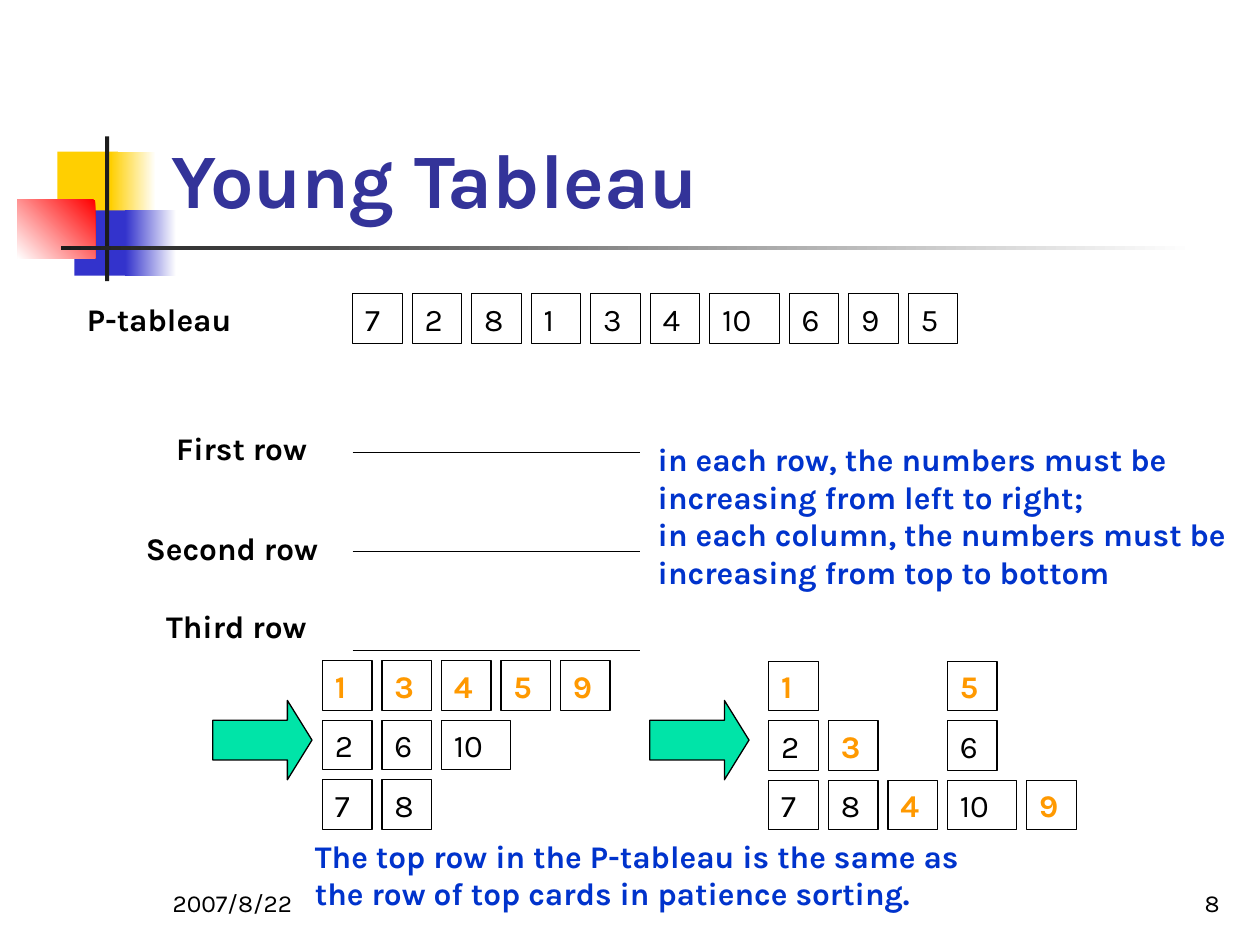
from pptx import Presentation
from pptx.dml.color import RGBColor
from pptx.enum.shapes import MSO_CONNECTOR as Link, MSO_SHAPE as Kind
from pptx.enum.text import MSO_ANCHOR as Anchor, PP_ALIGN as Align
from pptx.oxml.ns import qn
from pptx.util import Cm, Pt

FONT = "Karla"
BLACK = RGBColor(0x00, 0x00, 0x00)
WHITE = RGBColor(0xFF, 0xFF, 0xFF)
INK = RGBColor(0x1C, 0x1C, 0x1C)
GOLD = RGBColor(0xFF, 0xCF, 0x01)
BLUE = RGBColor(0x33, 0x33, 0xCC)
RED = RGBColor(0xFF, 0x00, 0x00)
NAVY = RGBColor(0x33, 0x33, 0x99)
ROYAL = RGBColor(0x00, 0x33, 0xCC)
AMBER = RGBColor(0xFF, 0x99, 0x00)
MINT = RGBColor(0x00, 0xE4, 0xA8)

CARD = 1.0
GAP = 0.2
EXTRA = 0.4
TOPS = {1, 3, 4, 5, 9}


def write(shape, lines, size=18, color=BLACK, bold=False,
          align=Align.LEFT, anchor=Anchor.TOP):
    frame = shape.text_frame
    frame.word_wrap = True
    frame.vertical_anchor = anchor
    frame.text = "\n".join(lines)
    for para in frame.paragraphs:
        para.alignment = align
        font = para.font
        font.name = FONT
        font.size = Pt(size)
        font.bold = bold
        font.color.rgb = color


def label(slide, box, *lines, **style):
    write(slide.shapes.add_textbox(*map(Cm, box)), lines, **style)


def block(slide, kind, box, fill=None, fade=None, angle=180, line=None):
    shape = slide.shapes.add_shape(kind, *map(Cm, box))
    shape.shadow.inherit = False
    if fade:
        shape.fill.gradient()
        shape.fill.gradient_angle = angle
        for stop, color in zip(shape.fill.gradient_stops, fade):
            stop.color.rgb = color
    elif fill is not None:
        shape.fill.solid()
        shape.fill.fore_color.rgb = fill
    else:
        shape.fill.background()
    if line is None:
        shape.line.fill.background()
    else:
        shape.line.color.rgb = line
        shape.line.width = Pt(0.75)
    return shape


def motif(slide, x, y):
    parts = [
        ((0.81, 0.31, 1.22, 1.32), {"fill": GOLD}),
        ((1.88, 0.31, 0.91, 1.32), {"fade": (WHITE, GOLD)}),
        ((1.15, 1.49, 1.17, 1.32), {"fill": BLUE}),
        ((2.18, 1.49, 1.02, 1.32), {"fade": (WHITE, BLUE)}),
        ((0, 1.28, 1.57, 1.18), {"fade": (RED, WHITE), "angle": 225}),
        ((1.77, 0, 0.08, 2.92), {"fill": INK}),
        ((0.88, 2.2, 22.86, 0.09), {"fade": (WHITE, INK)}),
    ]
    for (dx, dy, w, h), style in parts:
        block(slide, Kind.RECTANGLE, (x + dx, y + dy, w, h), **style)


def cards(slide, x, y, rows, tops=()):
    for i, row in enumerate(rows):
        left = x
        for num in row:
            width = CARD + (EXTRA if num == 10 else 0)
            if num:
                box = (left, y + i * (CARD + GAP), width, CARD)
                card = block(slide, Kind.RECTANGLE, box, line=BLACK)
                top = num in tops
                write(card, [str(num)], color=AMBER if top else BLACK, bold=top)
            left += width + GAP


def blanks(slide, x, y):
    names = [("First row", 3.3, 8.53, 3.4), ("Second row", 2.69, 10.54, 4.4),
             ("Third row", 3.1, 12.12, 3.8)]
    for i, (name, left, top, width) in enumerate(names):
        label(slide, (left, top, width, 1.02), name, bold=True)
        level = Cm(y + 2 * i)
        rule = slide.shapes.add_connector(
            Link.STRAIGHT, Cm(x), level, Cm(x + 5.8), level)
        rule.line.color.rgb = BLACK
        rule.line.width = Pt(0.75)
        props = rule.element.spPr
        props.append(props.makeelement(qn("a:effectLst"), {}))


def arrow(slide, x, y):
    shape = block(slide, Kind.RIGHT_ARROW, (x, y, 2, 1.6), fill=MINT, line=BLACK)
    shape.adjustments[0] = 0.5
    shape.adjustments[1] = 0.31


def footer(slide, y):
    label(slide, (19.56, y, 5.28, 1.27), "8", size=14,
          align=Align.RIGHT, anchor=Anchor.BOTTOM)
    label(slide, (3.23, y, 5.28, 1.27), "2007/8/22", size=14,
          anchor=Anchor.BOTTOM)


def main():
    deck = Presentation()
    deck.slide_width, deck.slide_height = Cm(25.4), Cm(19.05)
    slide = deck.slides.add_slide(deck.slide_layouts[6])

    motif(slide, 0.35, 2.75)
    label(slide, (3.2, 0.58, 21.64, 4.06), "Young Tableau", size=44,
          color=NAVY, bold=True, anchor=Anchor.BOTTOM)
    label(slide, (1.5, 5.92, 4, 1.02), "P-tableau", bold=True)
    cards(slide, 7.11, 5.92, [[7, 2, 8, 1, 3, 4, 10, 6, 9, 5]])
    blanks(slide, 7.11, 9.12)
    arrow(slide, 4.29, 14.12)
    cards(slide, 6.5, 13.32, [[1, 3, 4, 5, 9], [2, 6, 10], [7, 8]], TOPS)
    arrow(slide, 13.1, 14.12)
    cards(slide, 15.5, 13.33,
          [[1, None, None, 5], [2, 3, None, 6], [7, 8, 4, 10, 9]], TOPS)
    label(slide, (6.1, 16.74, 15.8, 1.78),
          "The top row in the P-tableau is the same as",
          "the row of top cards in patience sorting.", color=ROYAL, bold=True)
    label(slide, (13.01, 8.74, 12.39, 3.3),
          "in each row, the numbers must be increasing from left to right;",
          "in each column, the numbers must be increasing from top to bottom",
          color=ROYAL, bold=True)
    footer(slide, 17.35)
    deck.save("out.pptx")


if __name__ == "__main__":
    main()
